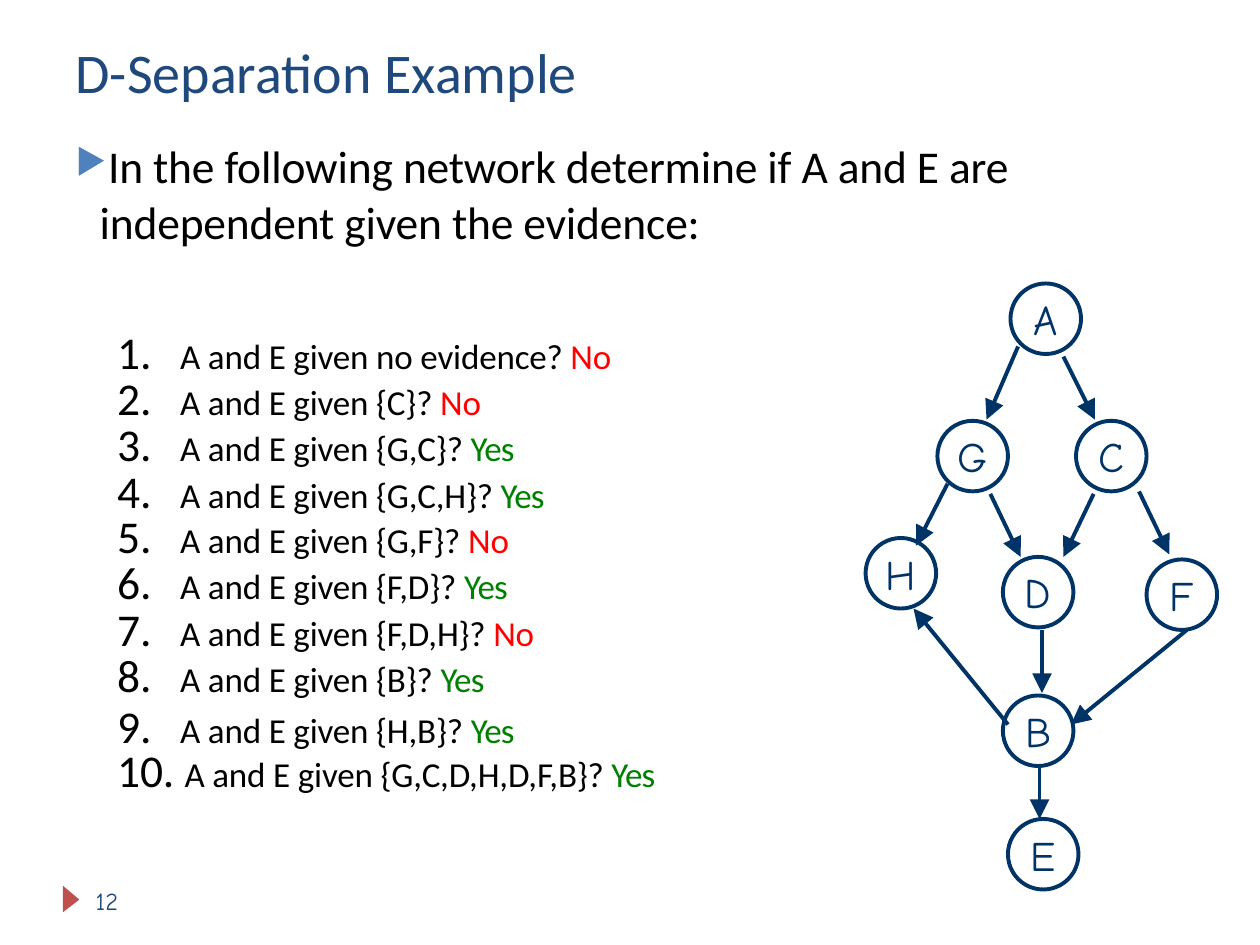
import pptx
import pptx.util
import pptx.dml.color
import pptx.enum.shapes
import pptx.enum.text
import pptx.oxml.ns
import lxml.etree

NAVY, BLUE, BLACK = "003366", "1F497D", "000000"
BODY, HAND = "Calibri", "Comic Neue"
ANSWER = {"No": "FF0000", "Yes": "008000"}

# evidence, answer, line pitch in points
CASES = [
    ("no evidence", "No", 24.1),
    ("{C}", "No", 26.5),
    ("{G,C}", "Yes", 26.5),
    ("{G,C,H}", "Yes", 26.5),
    ("{G,F}", "No", 25.9),
    ("{F,D}", "Yes", 26.5),
    ("{F,D,H}", "No", 26.5),
    ("{B}", "Yes", 26.5),
    ("{H,B}", "Yes", 29.1),
]
LAST = ("{G,C,D,H,D,F,B}", "Yes", 30.9)

SIZE = 0.56
NODES = {  # centre of each circle
    "A": (8.3, 2.53), "G": (7.72, 3.62), "C": (8.82, 3.62),
    "H": (7.15, 4.55), "D": (8.24, 4.7), "F": (9.38, 4.72),
    "B": (8.24, 5.8), "E": (8.28, 6.78),
}
EDGES = [  # parent, offset from its centre; child, offset from its centre
    ("A", (-0.22, 0.22), "G", (0.11, -0.29)),
    ("A", (0.14, 0.3), "C", (-0.13, -0.29)),
    ("G", (-0.2, 0.22), "H", (0.12, -0.22)),
    ("G", (0.14, 0.3), "D", (-0.14, -0.28)),
    ("C", (-0.14, 0.3), "D", (0.2, -0.28)),
    ("C", (0.22, 0.28), "F", (-0.1, -0.32)),
    ("D", (0.03, 0.3), "B", (0.03, -0.3)),
    ("B", (-0.24, -0.05), "H", (0.1, 0.28)),
    ("F", (0.04, 0.28), "B", (0.26, -0.05)),
    ("B", (0.01, 0.28), "E", (-0.03, -0.28)),
]

inch, pt = pptx.util.Inches, pptx.util.Pt
deck = pptx.Presentation()
deck.slide_width, deck.slide_height = inch(10), inch(7.5)
slide = deck.slides.add_slide(deck.slide_layouts[6])
shapes = slide.shapes


def color(code):
    return pptx.dml.color.RGBColor.from_string(code)


def node(parent, tag, **attrs):
    """Append an XML child in the drawing namespace."""
    child = lxml.etree.SubElement(parent, pptx.oxml.ns.qn("a:" + tag))
    for key, value in attrs.items():
        child.set(key, str(value))
    return child


def write(para, text, size=20, font=BODY, fill=BLACK, gap=0):
    """Add a run; gap is the letter spacing in points."""
    run = para.add_run()
    run.text = text
    run.font.size, run.font.name = pt(size), font
    run.font.color.rgb = color(fill)
    if gap:
        run._r.get_or_add_rPr().set("spc", str(round(gap * 100)))


def clear(frame, top=0):
    frame.margin_left = frame.margin_right = frame.margin_bottom = 0
    frame.margin_top = inch(top)


def box(left, top, width, height, inset=0):
    frame = shapes.add_textbox(
        inch(left), inch(top), inch(width), inch(height)).text_frame
    frame.word_wrap = True
    clear(frame, inset)
    return frame


def bullet(para, left, hang, scale, char=None, fill=None):
    """Hang a bullet on the paragraph, or a number if no char is given."""
    props = para._p.get_or_add_pPr()
    props.set("marL", str(inch(left)))
    props.set("indent", str(-inch(hang)))
    if fill:
        node(node(props, "buClr"), "srgbClr", val=fill)
    node(props, "buSzPct", val=scale * 1000)
    if char:
        node(props, "buChar", char=char)
    else:
        node(props, "buFont", typeface=BODY)
        node(props, "buAutoNum", type="arabicPeriod")


def ask(para, proof, answer, pitch):
    para.line_spacing = pt(pitch)
    write(para, f"A and E given {proof}? ", gap=-0.1)
    write(para, answer, fill=ANSWER[answer],
          gap=-0.5 if answer == "Yes" else -0.1)


def circle(name, x, y):
    ring = shapes.add_shape(
        pptx.enum.shapes.MSO_SHAPE.OVAL, inch(x - SIZE / 2),
        inch(y - SIZE / 2), inch(SIZE), inch(SIZE))
    ring.shadow.inherit = False
    ring.fill.background()
    ring.line.color.rgb, ring.line.width = color(NAVY), pt(2.25)
    frame = ring.text_frame
    clear(frame)
    frame.word_wrap = False
    frame.vertical_anchor = pptx.enum.text.MSO_ANCHOR.MIDDLE
    para = frame.paragraphs[0]
    para.alignment = pptx.enum.text.PP_ALIGN.CENTER
    write(para, name, size=24, font=HAND, fill=NAVY)


def arrow(start, shift, end, reach):
    ends = [inch(a + b) for spot, move in ((start, shift), (end, reach))
            for a, b in zip(NODES[spot], move)]
    link = shapes.add_connector(
        pptx.enum.shapes.MSO_CONNECTOR.STRAIGHT, *ends)
    link.line.color.rgb, link.line.width = color(NAVY), pt(2.25)
    node(link.line._get_or_add_ln(), "tailEnd",
         type="triangle", w="lg", len="lg")
    node(link._element.spPr, "effectLst")


# Footer marker and page number
pen = shapes.build_freeform(inch(0.5), inch(7.03))
pen.add_line_segments([(inch(0.5), inch(7.24)), (inch(0.63), inch(7.14))])
mark = pen.convert_to_shape()
mark.shadow.inherit = False
mark.fill.solid()
mark.fill.fore_color.rgb = color("C0504D")
mark.line.fill.background()
para = box(0.76, 7, 0.37, 0.3, 0.03).paragraphs[0]
para.space_before = pt(2.4)
write(para, "12", size=14, font=HAND, fill=BLUE)

# Title and question
para = box(0.6, 0.29, 8, 0.56, 0.01).paragraphs[0]
para.space_before = pt(1)
write(para, "D-Separation Example", size=32, fill=BLUE)
para = box(0.59, 1.09, 7.85, 0.95).paragraphs[0]
para.line_spacing = 1.02
bullet(para, 0.2, 0.19, 77, "▶", "4F81BD")
write(para, "In the following network determine if A and E are "
      "independent given the evidence:", size=26, gap=-0.1)

# Cases
frame = box(0.92, 2.65, 4.2, 3.33)
for i, case in enumerate(CASES):
    para = frame.add_paragraph() if i else frame.paragraphs[0]
    ask(para, *case)
    bullet(para, 0.51, 0.5, 130)
para = box(0.93, 5.89, 4.6, 0.47).paragraphs[0]
write(para, "10. ", size=26, gap=-0.1)
ask(para, *LAST)

# Network
for name, spot in NODES.items():
    circle(name, *spot)
for edge in EDGES:
    arrow(*edge)

deck.save("out.pptx")
